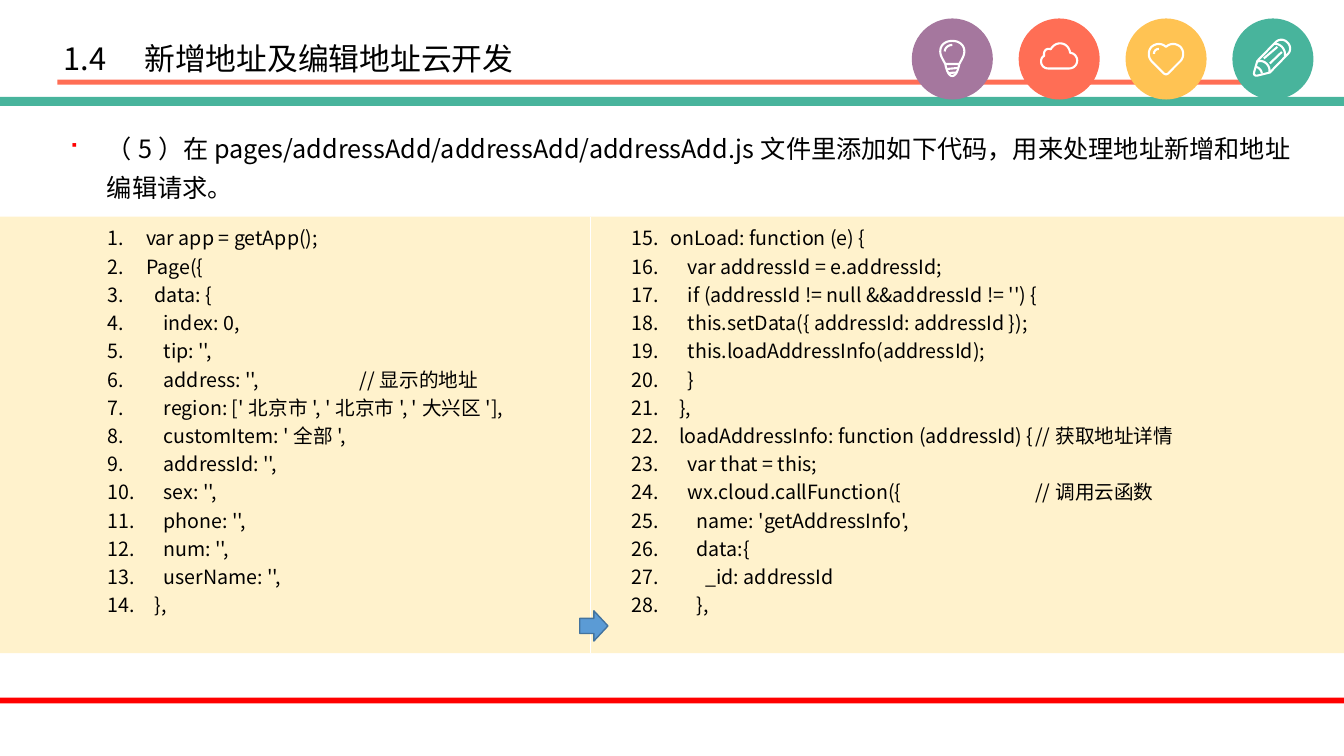
from lxml import etree
from pptx import Presentation
from pptx.dml.color import RGBColor
from pptx.enum.shapes import MSO_CONNECTOR, MSO_SHAPE
from pptx.enum.text import MSO_ANCHOR, MSO_AUTO_SIZE, PP_ALIGN
from pptx.oxml.ns import qn
from pptx.util import Inches, Pt

RECTANGLE, OVAL, ARROW = MSO_SHAPE.RECTANGLE, MSO_SHAPE.OVAL, MSO_SHAPE.RIGHT_ARROW
STRAIGHT = MSO_CONNECTOR.STRAIGHT
MIDDLE, TOP = MSO_ANCHOR.MIDDLE, MSO_ANCHOR.TOP
LEFT, NO_FIT = PP_ALIGN.LEFT, MSO_AUTO_SIZE.NONE

BLACK = RGBColor(0, 0, 0)
WHITE = RGBColor(0xFF, 0xFF, 0xFF)
RED = RGBColor(0xFF, 0, 0)
CORAL = RGBColor(0xFF, 0x6E, 0x55)
TEAL = RGBColor(0x48, 0xB4, 0x9C)
PURPLE = RGBColor(0xA5, 0x77, 0x9E)
YELLOW = RGBColor(0xFF, 0xC3, 0x53)
CREAM = RGBColor(0xFF, 0xF2, 0xCC)
BLUE = RGBColor(0x5B, 0x9B, 0xD5)
DARK_BLUE = RGBColor(0x43, 0x73, 0x9E)

# Each stroke: a start point, then line ends (x, y) or curves (x1, y1, x2, y2, x, y),
# in hundredths of an inch from the middle of the badge.
BULB = [
    [(-7, 5), (-9, 1, -12, -3, -12, -7.5), (-12, -14, -7, -18, 0, -18),
     (7, -18, 12, -14, 12, -7.5), (12, -3, 9, 1, 7, 5),
     (6, 10, 4, 17, 0, 17), (-4, 17, -6, 10, -7, 5), (7, 5)],
    [(-5.5, 10), (5.5, 9)],
    [(-4, 14), (4, 13.5)],
    [(-7.5, -7.5), (-7.5, -11, -4, -14, 0, -14)],
]
CLOUD = [
    [(-11, 9.5), (10, 9.5), (14.5, 9.5, 18, 6, 18, 1.5), (18, -2, 15, -6, 11, -6),
     (10, -12, 6, -15.5, 1, -15.5), (-4, -15.5, -7, -12, -8.5, -9.5),
     (-11, -11, -16, -9.5, -15, -3), (-17, -2, -18, 0, -18, 2.5),
     (-18, 6.5, -15, 9.5, -11, 9.5)],
]
HEART = [
    [(0, -12), (4, -16, 10, -16, 14.5, -12), (18, -8, 18, -2, 14.5, 2), (2, 14.5),
     (1, 15.5, -1, 15.5, -2, 14.5), (-14.5, 2), (-18, -2, -18, -8, -14.5, -12),
     (-10, -16, -4, -16, 0, -12)],
    [(-12, -5), (-12, -8, -10, -10, -7, -10)],
]
PENCIL = [
    [(-18.5, 12.5), (-15.5, 2), (3, -17), (7, -20.5, 11.5, -19.5, 14.5, -16.5),
     (18, -13, 18, -8, 15, -5), (-3, 13.5), (-15, 16.5),
     (-18, 17, -19.5, 16, -18.5, 12.5)],
    [(-15, 2.5), (-9, 0, -2, 7, -3.5, 13)],
    [(-9, -0.5), (4.5, -12)],
    [(-3, 4.5), (9, -7)],
    [(1, -15), (7, -16, 13, -10, 12, -3)],
    [(-17.5, 8), (-14, 8, -11.5, 11, -11, 14.5)],
]
BADGES = [(PURPLE, BULB), (CORAL, CLOUD), (YELLOW, HEART), (TEAL, PENCIL)]

TITLE = "1.4　新增地址及编辑地址云开发"
TASK = ("（5）在pages/addressAdd/addressAdd/addressAdd.js文件里添加如下代码，"
        "用来处理地址新增和地址编辑请求。")
PAGE_DATA_CODE = """var app = getApp();
Page({
  data: {
    index: 0,
    tip: '',
    address: '',\t\t//显示的地址
    region: ['北京市', '北京市', '大兴区'],
    customItem: '全部',
    addressId: '',
    sex: '',
    phone: '',
    num: '',
    userName: '',
  },"""
ON_LOAD_CODE = """onLoad: function (e) {
    var addressId = e.addressId;
    if (addressId != null &&addressId != '') {
    this.setData({ addressId: addressId });
    this.loadAddressInfo(addressId);
    }
  },
  loadAddressInfo: function (addressId) {\t//获取地址详情
    var that = this;
    wx.cloud.callFunction({ \t\t\t//调用云函数
      name: 'getAddressInfo',
      data:{
        _id: addressId
      },"""


def flatten(stroke, steps=10):
    """Return the points of a stroke, with its cubic curves sampled."""
    points = [stroke[0]]
    for part in stroke[1:]:
        if len(part) == 2:
            points.append(part)
            continue
        start, a, b, end = points[-1], part[:2], part[2:4], part[4:]
        for t in (i / steps for i in range(1, steps + 1)):
            u = 1 - t
            points.append(tuple(
                u**3 * p + 3 * u * u * t * q + 3 * u * t * t * r + t**3 * s
                for p, q, r, s in zip(start, a, b, end)))
    return points


class SlideBuilder:
    """Draws on one slide, on a grid of 80 columns by 45 rows of equal cells."""

    FONT = "Noto Sans CJK SC"
    CELL = Inches(1 / 6)
    HANGING = Inches(0.38)

    def __init__(self, deck):
        self.slide = deck.slides.add_slide(deck.slide_layouts[1])
        self.shapes = self.slide.shapes

    def cells(self, *counts):
        return [round(count * self.CELL) for count in counts]

    def shape(self, kind, box, fill, line=None):
        shape = self.shapes.add_shape(kind, *self.cells(*box))
        shape.shadow.inherit = False
        shape.fill.solid()
        shape.fill.fore_color.rgb = fill
        if line is None:
            shape.line.fill.background()
        else:
            shape.line.color.rgb = line
            shape.line.width = Pt(1)

    def icon(self, strokes, x, y):
        outlines = [[(px * 100, py * 100) for px, py in flatten(s)] for s in strokes]
        builder = self.shapes.build_freeform(*outlines[0][0], scale=Inches(0.0001))
        for index, outline in enumerate(outlines):
            if index:
                builder.move_to(*outline[0])
            builder.add_line_segments(outline[1:], close=False)
        icon = builder.convert_to_shape(*self.cells(x, y))
        icon.shadow.inherit = False
        icon.fill.background()
        icon.line.color.rgb = WHITE
        icon.line.width = Pt(1.5)

    def divider(self, x, top, bottom):
        line = self.shapes.add_connector(STRAIGHT, *self.cells(x, top, x, bottom))
        line.line.color.rgb = WHITE
        line.line.width = Pt(0.5)
        etree.SubElement(line._element.spPr, qn("a:effectLst"))

    def place(self, holder, box, anchor=TOP):
        holder.left, holder.top, holder.width, holder.height = self.cells(*box)
        frame = holder.text_frame
        frame.word_wrap, frame.auto_size, frame.vertical_anchor = True, NO_FIT, anchor
        return frame

    def format(self, paragraph, size, spacing):
        paragraph.alignment = LEFT
        paragraph.line_spacing = spacing
        paragraph.space_before = Pt(0)
        font = paragraph.font
        font.name, font.size, font.color.rgb = self.FONT, Pt(size), BLACK
        latin = paragraph._p.pPr.find(qn("a:defRPr")).find(qn("a:latin"))
        east_asian = etree.Element(qn("a:ea"), typeface=self.FONT)
        latin.addnext(east_asian)

    def hang(self, paragraph):
        properties = paragraph._p.get_or_add_pPr()
        properties.set("marL", str(self.HANGING))
        properties.set("indent", str(-self.HANGING))
        return properties

    def title(self, text, box):
        frame = self.place(self.shapes.title, box, MIDDLE)
        frame.text = text
        self.format(frame.paragraphs[0], 22, 0.9)

    def bullet(self, text, box):
        frame = self.place(self.slide.placeholders[1], box)
        frame.text = text
        properties = self.hang(frame.paragraphs[0])
        colour = etree.SubElement(properties, qn("a:buClr"))
        etree.SubElement(colour, qn("a:srgbClr"), val=str(RED))
        etree.SubElement(properties, qn("a:buFont"), typeface="Wingdings")
        etree.SubElement(properties, qn("a:buChar"), char="■")
        self.format(frame.paragraphs[0], 18, 1.3)

    def code(self, text, box, first_number):
        frame = self.place(self.shapes.add_textbox(0, 0, 0, 0), box)
        frame.text = text
        for paragraph in frame.paragraphs:
            etree.SubElement(self.hang(paragraph), qn("a:buAutoNum"),
                             type="arabicPeriod", startAt=str(first_number))
            self.format(paragraph, 14, 1.2)


def main():
    deck = Presentation()
    deck.slide_width, deck.slide_height = Inches(13.33), Inches(7.5)
    page = SlideBuilder(deck)

    page.shape(RECTANGLE, (3.42, 4.74, 73.98, 0.3), CORAL)
    page.shape(RECTANGLE, (0, 5.76, 80, 0.54), TEAL)
    for index, (colour, strokes) in enumerate(BADGES):
        left = 54.3 + 6.36 * index
        page.shape(OVAL, (left, 1.14, 4.74, 4.74), colour, colour)
        page.icon(strokes, left + 2.37, 3.51)

    page.title(TITLE, (3.18, 2.16, 45.36, 2.88))
    page.bullet(TASK, (3.48, 7.08, 74.52, 5.1))

    page.shape(RECTANGLE, (0, 12.9, 80, 25.98), CREAM)
    page.code(PAGE_DATA_CODE, (5.82, 12.9, 28.5, 24.36), 1)
    page.code(ON_LOAD_CODE, (37.02, 12.9, 40.98, 24.36), 15)
    page.divider(35.16, 12.9, 38.88)
    page.shape(ARROW, (34.5, 36.36, 1.68, 1.8), BLUE, DARK_BLUE)
    page.shape(RECTANGLE, (0, 41.52, 80, 0.36), RED)

    deck.save("out.pptx")


if __name__ == "__main__":
    main()
